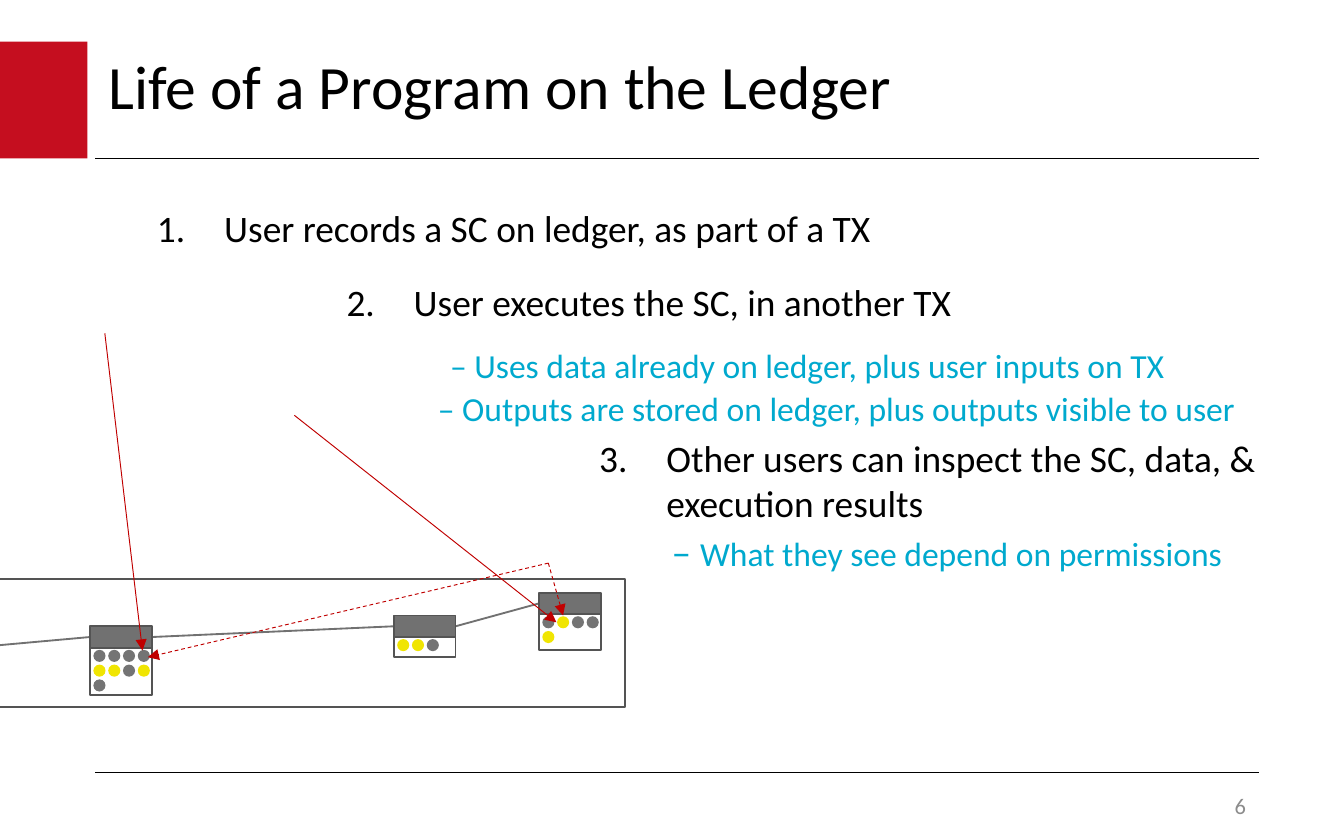
from lxml import etree
from pptx import Presentation
from pptx import util as u
from pptx.dml.color import RGBColor
from pptx.enum import dml, shapes, text
from pptx.oxml.ns import qn

# Content
WIDTH, HEIGHT = 10, 6.25
FONT, BLACK, CYAN, RED = "Calibri", "000000", "00A9CE", "C00000"
GRAY, EDGE = "717171", "545454"
TITLE, PAGE = "Life of a Program on the Ledger", "6"
# Steps: left, top, width, height, heading, sub-points (indent, space before, dash size, words)
STEPS = [
    (1.07, 1.48, 5.56, 0.44, "User records a SC on ledger, as part of a TX", []),
    (2.48, 2.03, 6.89, 1.21, "User executes the SC, in another TX", [
        (0.77, 11, 18, "Uses data already on ledger, plus user inputs on TX"),
        (0.68, 1.5, 18, "Outputs are stored on ledger, plus outputs visible to user")]),
    (4.36, 3.19, 5.6, 1.13, "Other users can inspect the SC, data, & execution results", [
        (0.54, 1, 21, "What they see depend on permissions")]),
]
# Ledger blocks: left, top, body height, rows of records (g = gray, y = yellow)
BLOCKS = [
    (0.67, 4.66, 0.35, ["gggg", "yygy", "g"]),
    (2.93, 4.58, 0.15, ["yyg"]),
    (4.01, 4.41, 0.27, ["gygg", "y"]),
]
RECORDS = {"g": "747474", "y": "F0E502"}
BLOCK_W, HEAD_H, DOT, PITCH = 0.46, 0.16, 0.09, 0.11
LEDGER = [(0, 4.31), (4.65, 4.31), (4.65, 5.26), (0, 5.26)]
# Arrows: start, end, dashed
ARROWS = [
    ((0.78, 2.48), (1.06, 4.84), False),
    ((2.19, 3.09), (4.14, 4.63), False),
    ((4.08, 4.19), (4.19, 4.58), True),
    ((4.08, 4.19), (1.1, 4.89), True),
]

prs = Presentation()
prs.slide_width, prs.slide_height = u.Inches(WIDTH), u.Inches(HEIGHT)
slide = prs.slides.add_slide(prs.slide_layouts[6])


def color(hex_code):
    return RGBColor.from_string(hex_code)


def inches(values):
    return [u.Inches(v) for v in values]


def add_line(start, end, hex_code, width, dashed=False, arrow=False):
    line = slide.shapes.add_connector(shapes.MSO_CONNECTOR.STRAIGHT, *inches(start + end))
    line.line.color.rgb, line.line.width = color(hex_code), u.Pt(width)
    if dashed:
        line.line.dash_style = dml.MSO_LINE.DASH
    if arrow:
        etree.SubElement(line.line._get_or_add_ln(), qn("a:tailEnd"), type="triangle")
    etree.SubElement(line._element.spPr, qn("a:effectLst"))


def add_form(kind, box, fill, edge=None):
    form = slide.shapes.add_shape(kind, *inches(box))
    form.shadow.inherit = False
    form.fill.solid()
    form.fill.fore_color.rgb = color(fill)
    if edge:
        form.line.color.rgb, form.line.width = color(edge), u.Pt(1)
    else:
        form.line.fill.background()


def add_frame(box, anchor=text.MSO_ANCHOR.TOP):
    frame = slide.shapes.add_textbox(*inches(box)).text_frame
    frame.word_wrap, frame.vertical_anchor = True, anchor
    return frame


def add_run(paragraph, words, size, hex_code):
    run = paragraph.add_run()
    run.text = words
    for name, value in {"name": FONT, "size": u.Pt(size)}.items():
        setattr(run.font, name, value)
    run.font.color.rgb = color(hex_code)


def number(paragraph, start):
    props = paragraph._p.get_or_add_pPr()
    for name, value in {"marL": 0.5, "indent": -0.5}.items():
        props.set(name, str(u.Inches(value)))
    etree.SubElement(props, qn("a:buFont"), typeface=FONT)
    etree.SubElement(props, qn("a:buAutoNum"), type="arabicPeriod", startAt=str(start))


# Page furniture: red tab and two rules
add_form(shapes.MSO_SHAPE.RECTANGLE, (0, 0.31, 0.65, 0.87), "C50E1F")
for y in (1.18, 5.75):
    add_line((0.71, y), (9.37, y), BLACK, 0.75)

# Title and page number
title = add_frame((0.71, 0.31, 8.66, 0.71), text.MSO_ANCHOR.MIDDLE).paragraphs[0]
title.line_spacing = 0.9
add_run(title, TITLE, 33, BLACK)
page = add_frame((7.34, 5.87, 2.03, 0.25), text.MSO_ANCHOR.MIDDLE).paragraphs[0]
page.alignment = text.PP_ALIGN.RIGHT
add_run(page, PAGE, 12, "8C8C8C")

# Chain links, from the slide edge through each block header
link_start = (0, 4.8)
for left, top, _, _ in BLOCKS:
    middle = top + HEAD_H / 2
    add_line(link_start, (left, middle), GRAY, 1)
    link_start = (left + BLOCK_W, middle)

# Blocks with their records
for left, top, body_h, rows in BLOCKS:
    body = top + HEAD_H
    add_form(shapes.MSO_SHAPE.RECTANGLE, (left, top, BLOCK_W, HEAD_H), GRAY, EDGE)
    add_form(shapes.MSO_SHAPE.RECTANGLE, (left, body, BLOCK_W, body_h), "FFFFFF", EDGE)
    for r, row in enumerate(rows):
        for c, record in enumerate(row):
            dot = (left + 0.025 + c * PITCH, body + 0.015 + r * PITCH, DOT, DOT)
            add_form(shapes.MSO_SHAPE.OVAL, dot, RECORDS[record])

# Ledger outline, open at the slide edge
corners = [inches(corner) for corner in LEDGER]
builder = slide.shapes.build_freeform(*corners[0])
builder.add_line_segments(corners[1:], close=False)
ledger = builder.convert_to_shape()
ledger.shadow.inherit = False
ledger.fill.background()
ledger.line.color.rgb, ledger.line.width = color(EDGE), u.Pt(1)

# Numbered steps
for step, (*box, heading, points) in enumerate(STEPS, 1):
    frame = add_frame(box)
    number(frame.paragraphs[0], step)
    add_run(frame.paragraphs[0], heading, 20, BLACK)
    for indent, before, dash_size, words in points:
        point = frame.add_paragraph()
        point._p.get_or_add_pPr().set("marL", str(u.Inches(indent)))
        point.space_before = u.Pt(before)
        add_run(point, "– ", dash_size, CYAN)
        add_run(point, words, 18, CYAN)

# Arrows from the steps to the records
for start, end, dashed in ARROWS:
    add_line(start, end, RED, 0.5, dashed, arrow=True)

prs.save("out.pptx")
